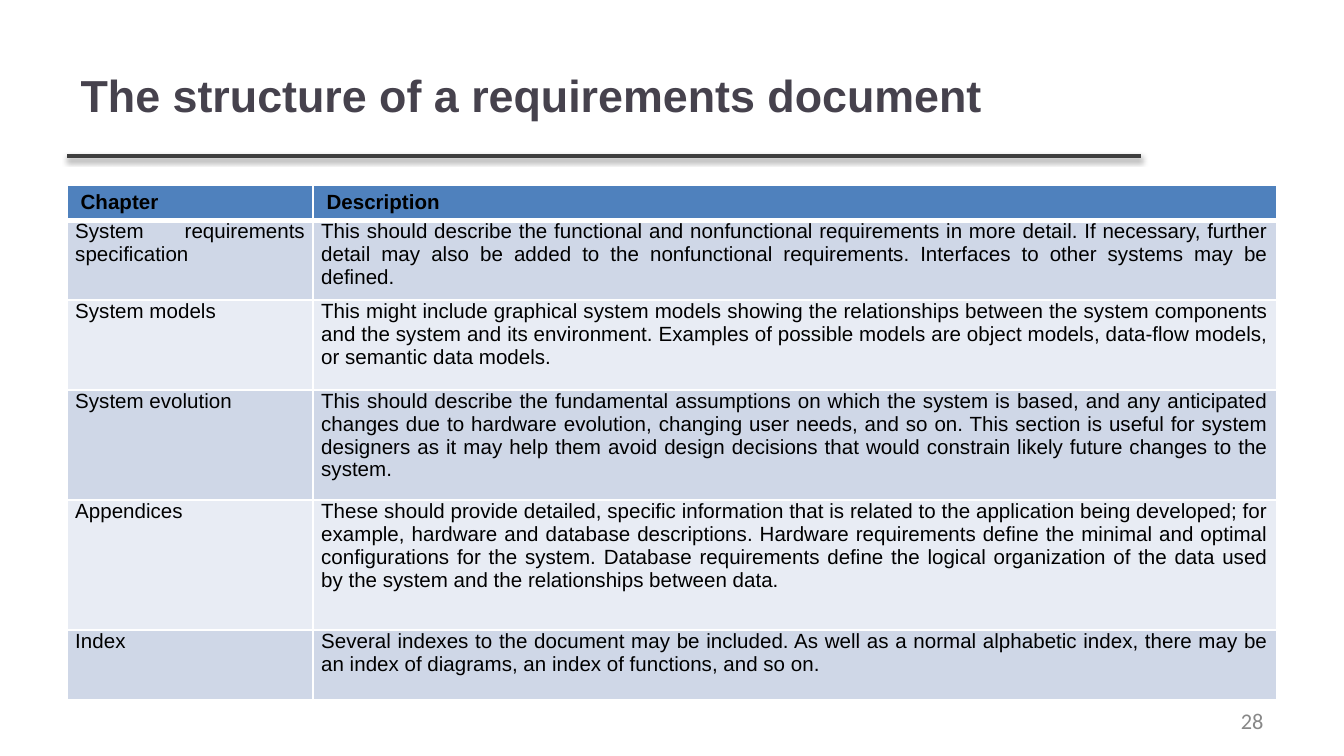
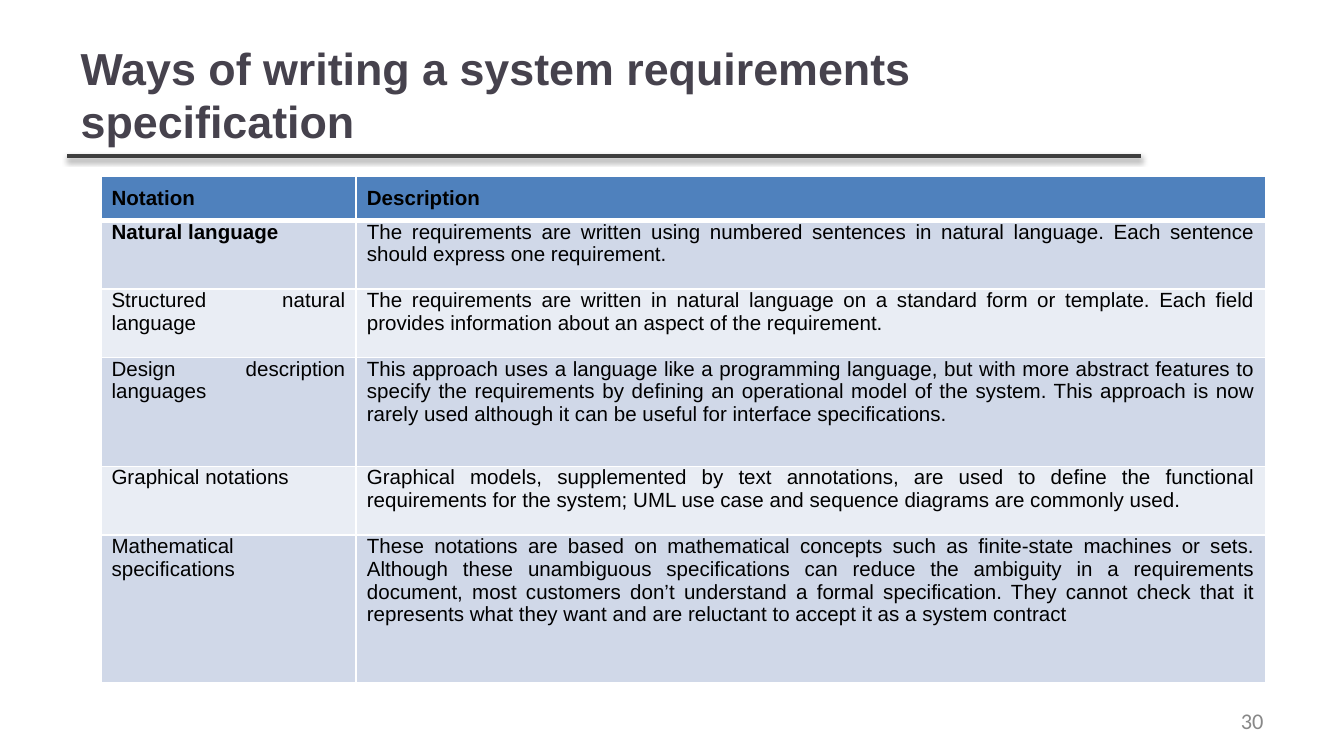
from dataclasses import dataclass

from lxml import etree
from pptx import Presentation
from pptx.dml.color import RGBColor
from pptx.enum.shapes import MSO_CONNECTOR
from pptx.enum.text import MSO_ANCHOR, MSO_AUTO_SIZE, PP_ALIGN
from pptx.oxml import parse_xml
from pptx.oxml.ns import nsdecls, qn
from pptx.slide import Slide
from pptx.table import _Cell
from pptx.text.text import TextFrame
from pptx.util import Inches, Pt

STRAIGHT = MSO_CONNECTOR.STRAIGHT
MIDDLE = MSO_ANCHOR.MIDDLE
TOP = MSO_ANCHOR.TOP
NO_AUTOFIT = MSO_AUTO_SIZE.NONE
LEFT, RIGHT, JUSTIFY = PP_ALIGN.LEFT, PP_ALIGN.RIGHT, PP_ALIGN.JUSTIFY

TITLE_ONLY = 5
SLIDE_WIDTH = Inches(10)
SLIDE_HEIGHT = SLIDE_WIDTH * 9 // 16
BODY_FONT = "Arial"
NUMBER_FONT = "Calibri"
TITLE_COLOR = "46424D"
TEXT_COLOR = "000000"
NUMBER_COLOR = "888888"
RULE_COLOR = "3F3F3F"
HEADER_FILL = "4F81BD"
BORDER_COLOR = "FFFFFF"
THIN, THICK = 1, 3


@dataclass(frozen=True)
class Margins:
    left: float
    top: float
    right: float
    bottom: float


@dataclass(frozen=True)
class TextStyle:
    size: float
    color: str
    font: str = BODY_FONT
    bold: bool = False
    align: PP_ALIGN = LEFT


@dataclass(frozen=True)
class DescriptionTable:
    left: float
    top: float
    columns: tuple[float, ...]
    row_heights: tuple[float, ...]
    rows: tuple[tuple[str, str], ...]
    header_margins: Margins
    body_margins: Margins
    band_fills: tuple[str, str]
    bold_labels: tuple[str, ...] = ()


@dataclass(frozen=True)
class TableSlide:
    title: str
    number: int
    table: DescriptionTable


BOX_MARGINS = Margins(0.1, 0.05, 0.1, 0.05)
TITLE_STYLE = TextStyle(24, TITLE_COLOR, bold=True)
NUMBER_STYLE = TextStyle(12, NUMBER_COLOR, NUMBER_FONT, align=RIGHT)
HEADER_STYLE = TextStyle(11, TEXT_COLOR, bold=True)
LABEL_STYLE = TextStyle(11, TEXT_COLOR, bold=True, align=JUSTIFY)
BODY_STYLE = TextStyle(11, TEXT_COLOR, align=JUSTIFY)

SLIDES = (
    TableSlide(
        "The structure of a requirements document",
        28,
        DescriptionTable(
            left=0.5,
            top=1.38,
            columns=(1.83, 7.17),
            row_heights=(0.26, 0.57, 0.67, 0.82, 0.97, 0.52),
            rows=(
                ("Chapter", "Description"),
                (
                    "System requirements specification",
                    "This should describe the functional and nonfunctional requirements in more "
                    "detail. If necessary, further detail may also be added to the nonfunctional "
                    "requirements. Interfaces to other systems may be defined.",
                ),
                (
                    "System models",
                    "This might include graphical system models showing the relationships between "
                    "the system components and the system and its environment. Examples of "
                    "possible models are object models, data-flow models, or semantic data models.",
                ),
                (
                    "System evolution",
                    "This should describe the fundamental assumptions on which the system is "
                    "based, and any anticipated changes due to hardware evolution, changing user "
                    "needs, and so on. This section is useful for system designers as it may help "
                    "them avoid design decisions that would constrain likely future changes to "
                    "the system.",
                ),
                (
                    "Appendices",
                    "These should provide detailed, specific information that is related to the "
                    "application being developed; for example, hardware and database "
                    "descriptions. Hardware requirements define the minimal and optimal "
                    "configurations for the system. Database requirements define the logical "
                    "organization of the data used by the system and the relationships between "
                    "data.",
                ),
                (
                    "Index",
                    "Several indexes to the document may be included. As well as a normal "
                    "alphabetic index, there may be an index of diagrams, an index of functions, "
                    "and so on.",
                ),
            ),
            header_margins=Margins(0.1, 0.04, 0.1, 0.04),
            body_margins=Margins(0.06, 0, 0.06, 0.08),
            band_fills=("CFD7E7", "E8ECF4"),
        ),
    ),
    TableSlide(
        "Ways of writing a system requirements specification",
        30,
        DescriptionTable(
            left=0.75,
            top=1.31,
            columns=(1.9, 6.77),
            row_heights=(0.3, 0.51, 0.51, 0.81, 0.51, 1.1),
            rows=(
                ("Notation", "Description"),
                (
                    "Natural language",
                    "The requirements are written using numbered sentences in natural language. "
                    "Each sentence should express one requirement.",
                ),
                (
                    "Structured natural language",
                    "The requirements are written in natural language on a standard form or "
                    "template. Each field provides information about an aspect of the "
                    "requirement.",
                ),
                (
                    "Design description languages",
                    "This approach uses a language like a programming language, but with more "
                    "abstract features to specify the requirements by defining an operational "
                    "model of the system. This approach is now rarely used although it can be "
                    "useful for interface specifications.",
                ),
                (
                    "Graphical notations",
                    "Graphical models, supplemented by text annotations, are used to define the "
                    "functional requirements for the system; UML use case and sequence diagrams "
                    "are commonly used.",
                ),
                (
                    "Mathematical specifications",
                    "These notations are based on mathematical concepts such as finite-state "
                    "machines or sets. Although these unambiguous specifications can reduce the "
                    "ambiguity in a requirements document, most customers don’t understand a "
                    "formal specification. They cannot check that it represents what they want "
                    "and are reluctant to accept it as a system contract",
                ),
            ),
            header_margins=Margins(0.08, 0.08, 0.08, 0.08),
            body_margins=Margins(0.08, 0, 0.08, 0.08),
            band_fills=("D0D8E8", "E9EDF4"),
            bold_labels=("Natural language",),
        ),
    ),
)


def rgb(color: str) -> RGBColor:
    return RGBColor.from_string(color)


def set_margins(target: TextFrame | _Cell, margins: Margins) -> None:
    target.margin_left = Inches(margins.left)
    target.margin_top = Inches(margins.top)
    target.margin_right = Inches(margins.right)
    target.margin_bottom = Inches(margins.bottom)


def write_text(frame: TextFrame, text: str, style: TextStyle) -> None:
    frame.text = text
    for paragraph in frame.paragraphs:
        paragraph.alignment = style.align
        for run in paragraph.runs:
            run.font.name = style.font
            run.font.size = Pt(style.size)
            run.font.bold = style.bold
            run.font.color.rgb = rgb(style.color)


def fill_box(frame: TextFrame, text: str, style: TextStyle) -> None:
    frame.word_wrap = True
    frame.auto_size = NO_AUTOFIT
    frame.vertical_anchor = MIDDLE
    set_margins(frame, BOX_MARGINS)
    write_text(frame, text, style)


def add_title(slide: Slide, text: str) -> None:
    title = slide.shapes.title
    title.left, title.top = Inches(0.5), Inches(0.23)
    title.width, title.height = Inches(7.98), Inches(0.94)
    fill_box(title.text_frame, text, TITLE_STYLE)


def add_title_rule(slide: Slide) -> None:
    """Draw the line under the title with its soft shadow."""
    rule = slide.shapes.add_connector(
        STRAIGHT, Inches(0.5), Inches(1.16), Inches(8.49), Inches(1.16)
    )
    rule.line.color.rgb = rgb(RULE_COLOR)
    rule.line.width = Pt(2)
    rule._element.spPr.append(parse_xml(
        f'<a:effectLst {nsdecls("a")}>'
        f'<a:outerShdw blurRad="{Pt(3.1)}" dist="{Pt(1.6)}" dir="5400000" rotWithShape="0">'
        '<a:srgbClr val="000000"><a:alpha val="38000"/></a:srgbClr>'
        '</a:outerShdw></a:effectLst>'
    ))


def add_slide_number(slide: Slide, number: int) -> None:
    box = slide.shapes.add_textbox(Inches(7.17), Inches(5.21), Inches(2.33), Inches(0.3))
    fill_box(box.text_frame, str(number), NUMBER_STYLE)


def add_borders(cell: _Cell, top: float, bottom: float) -> None:
    """Add the four edges; they must precede the cell's fill."""
    properties = cell._tc.get_or_add_tcPr()
    widths = {"a:lnL": THIN, "a:lnR": THIN, "a:lnT": top, "a:lnB": bottom}
    for tag, width in widths.items():
        edge = etree.SubElement(properties, qn(tag), w=str(Pt(width)))
        fill = etree.SubElement(edge, qn("a:solidFill"))
        etree.SubElement(fill, qn("a:srgbClr"), val=BORDER_COLOR)


def add_description_table(slide: Slide, content: DescriptionTable) -> None:
    frame = slide.shapes.add_table(
        len(content.rows), len(content.columns),
        Inches(content.left), Inches(content.top),
        Inches(sum(content.columns)), Inches(sum(content.row_heights)),
    )
    table = frame.table
    table.horz_banding = False
    for column, width in zip(table.columns, content.columns):
        column.width = Inches(width)
    for index, (row, height, texts) in enumerate(
        zip(table.rows, content.row_heights, content.rows)
    ):
        row.height = Inches(height)
        is_header = index == 0
        margins = content.header_margins if is_header else content.body_margins
        fill = HEADER_FILL if is_header else content.band_fills[(index - 1) % 2]
        for cell, text in zip(row.cells, texts):
            add_borders(cell, THICK if index == 1 else THIN, THICK if is_header else THIN)
            cell.fill.solid()
            cell.fill.fore_color.rgb = rgb(fill)
            cell.vertical_anchor = TOP
            set_margins(cell, margins)
            if is_header:
                style = HEADER_STYLE
            else:
                style = LABEL_STYLE if text in content.bold_labels else BODY_STYLE
            write_text(cell.text_frame, text, style)


def main() -> None:
    presentation = Presentation()
    presentation.slide_width = SLIDE_WIDTH
    presentation.slide_height = SLIDE_HEIGHT
    for content in SLIDES:
        slide = presentation.slides.add_slide(presentation.slide_layouts[TITLE_ONLY])
        add_title_rule(slide)
        add_title(slide, content.title)
        add_description_table(slide, content.table)
        add_slide_number(slide, content.number)
    presentation.save("out.pptx")


if __name__ == "__main__":
    main()
